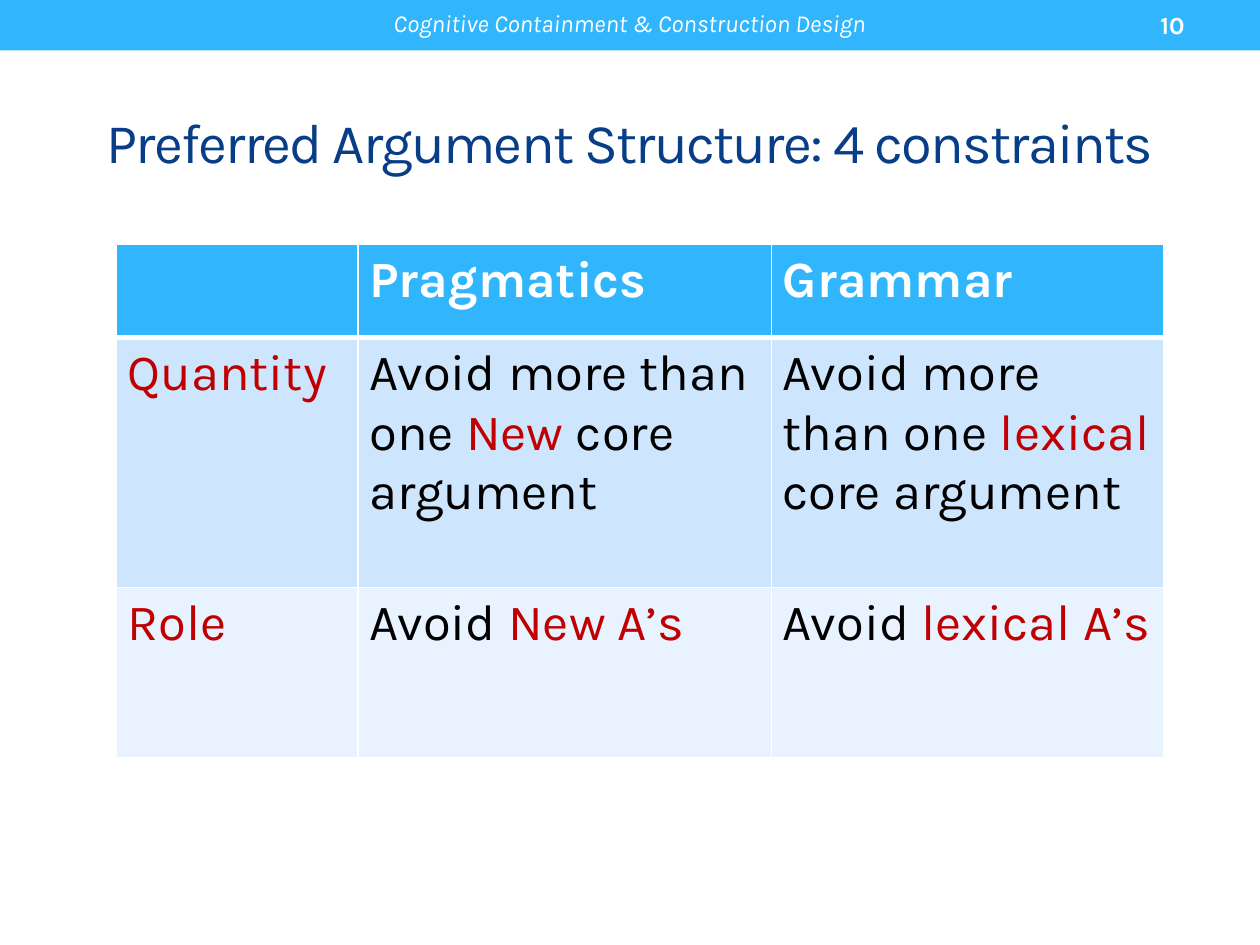
import pptx
import pptx.util
import pptx.oxml
import pptx.oxml.ns
import pptx.dml.color
import pptx.enum.shapes
import pptx.enum.text

Cm = pptx.util.Cm
Pt = pptx.util.Pt
ALIGN = pptx.enum.text.PP_ALIGN

HUES = {
    "band": "31B6FD", "title": "073E87", "white": "FFFFFF", "black": "000000",
    "red": "C00000", "mid": "CEE5FE", "pale": "E8F3FF",
}
FONT = "Karla"

LABELS = [
    ("Preferred Argument Structure: 4 constraints", (1.27, 1.47, 22.86, 2.74),
     "title", ALIGN.CENTER, {"size": Pt(32)}, -1),
    ("Cognitive Containment & Construction Design", (6.98, 0, 11.43, 0.91),
     "white", ALIGN.CENTER, {"size": Pt(14), "italic": True}, 0),
    ("10", (21.16, 0.05, 2.97, 0.91),
     "white", ALIGN.RIGHT, {"size": Pt(14), "bold": True}, 0),
]

GRID = [
    [[], [("Pragmatics", "white")], [("Grammar", "white")]],
    [[("Quantity", "red")],
     [("Avoid more than one ", "black"), ("New", "red"), (" core argument", "black")],
     [("Avoid more than one ", "black"), ("lexical ", "red"), ("core argument", "black")]],
    [[("Role", "red")],
     [("Avoid ", "black"), ("New A’s", "red")],
     [("Avoid ", "black"), ("lexical A’s", "red")]],
]
PLACE = (2.34, 4.93)
COLS = [4.88, 8.33, 7.9]
ROWS = [1.88, 5.03, 3.43]
FILLS = ["band", "mid", "pale"]
PADS = {"margin_left": Cm(0.23), "margin_right": Cm(0.23),
        "margin_top": Cm(0.13), "margin_bottom": Cm(0.13)}


def tint(hue):
    return pptx.dml.color.RGBColor.from_string(HUES[hue])


def apply(thing, form):
    for name, value in form.items():
        setattr(thing, name, value)


def paint(fill, hue):
    fill.solid()
    fill.fore_color.rgb = tint(hue)


def write(para, text, hue, form):
    run = para.add_run()
    run.text = text
    apply(run.font, {"name": FONT, **form})
    run.font.color.rgb = tint(hue)
    return run


def edge(cell, side, width):
    cell._tc.get_or_add_tcPr().append(pptx.oxml.parse_xml(
        f'<a:ln{side} {pptx.oxml.ns.nsdecls("a")} w="{Pt(width)}">'
        f'<a:solidFill><a:srgbClr val="{HUES["white"]}"/></a:solidFill></a:ln{side}>'))


deck = pptx.Presentation()
apply(deck, {"slide_width": Cm(25.4), "slide_height": Cm(19.05)})
slide = deck.slides.add_slide(deck.slide_layouts[6])

band = slide.shapes.add_shape(
    pptx.enum.shapes.MSO_SHAPE.RECTANGLE, 0, 0, deck.slide_width, Cm(1.02))
band.shadow.inherit = False
paint(band.fill, "band")
band.line.fill.background()

for text, box, hue, align, form, gap in LABELS:
    frame = slide.shapes.add_textbox(*map(Cm, box)).text_frame
    apply(frame, {"word_wrap": True,
                  "vertical_anchor": pptx.enum.text.MSO_ANCHOR.MIDDLE})
    para = frame.paragraphs[0]
    para.alignment = align
    run = write(para, text, hue, form)
    if gap:
        run._r.get_or_add_rPr().set("spc", str(gap * 100))

table = slide.shapes.add_table(
    len(ROWS), len(COLS), *map(Cm, (*PLACE, sum(COLS), sum(ROWS)))).table
for col, width in zip(table.columns, COLS):
    col.width = Cm(width)
for row, height in zip(table.rows, ROWS):
    row.height = Cm(height)

for r, line in enumerate(GRID):
    for c, parts in enumerate(line):
        cell = table.cell(r, c)
        apply(cell, PADS)
        for side in "LRTB":
            thick = (r, side) in ((0, "B"), (1, "T"))
            edge(cell, side, 3 if thick else 1)
        paint(cell.fill, FILLS[r])
        for text, hue in parts:
            write(cell.text_frame.paragraphs[0], text, hue,
                  {"size": Pt(29), "bold": r == 0})

deck.save("out.pptx")
